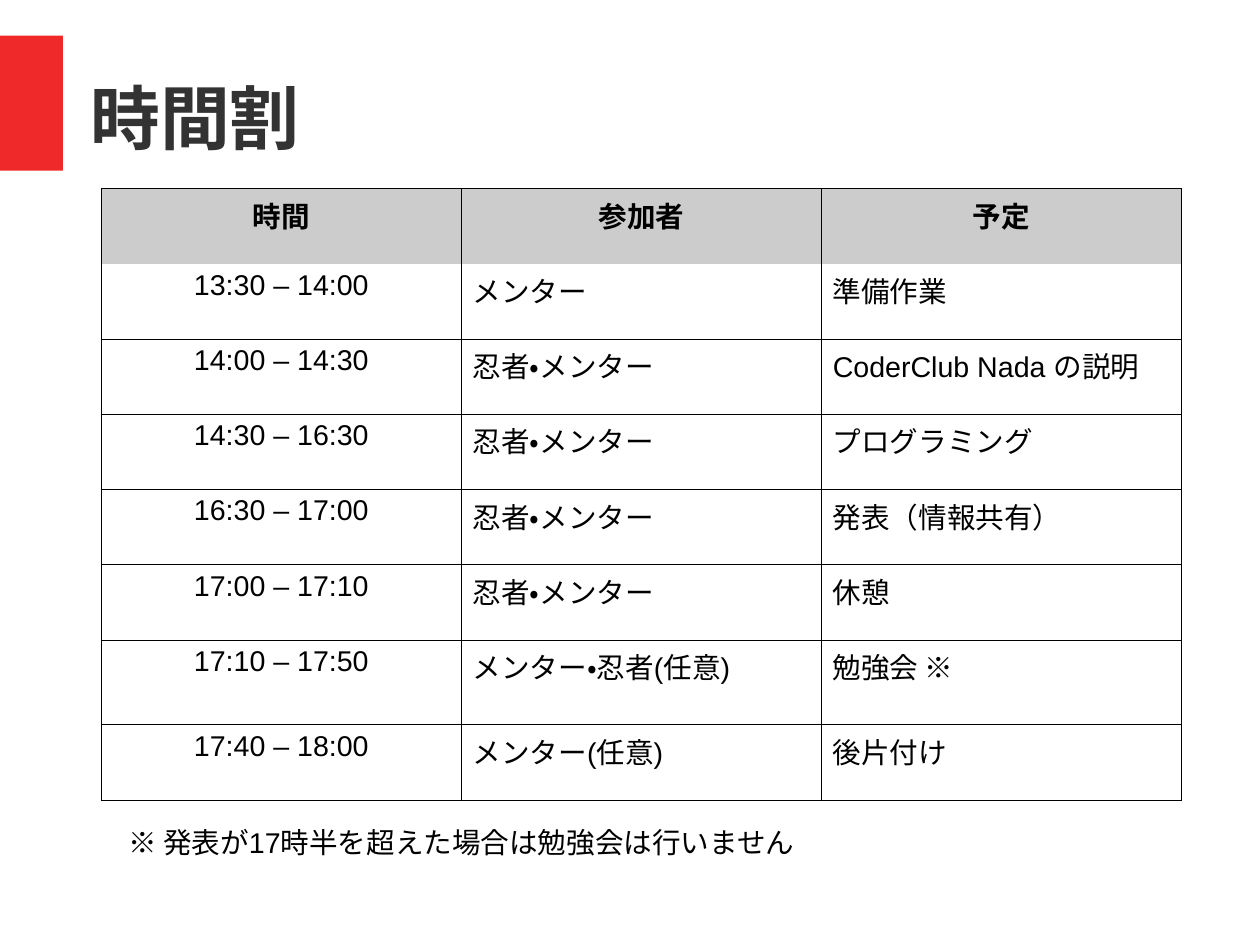
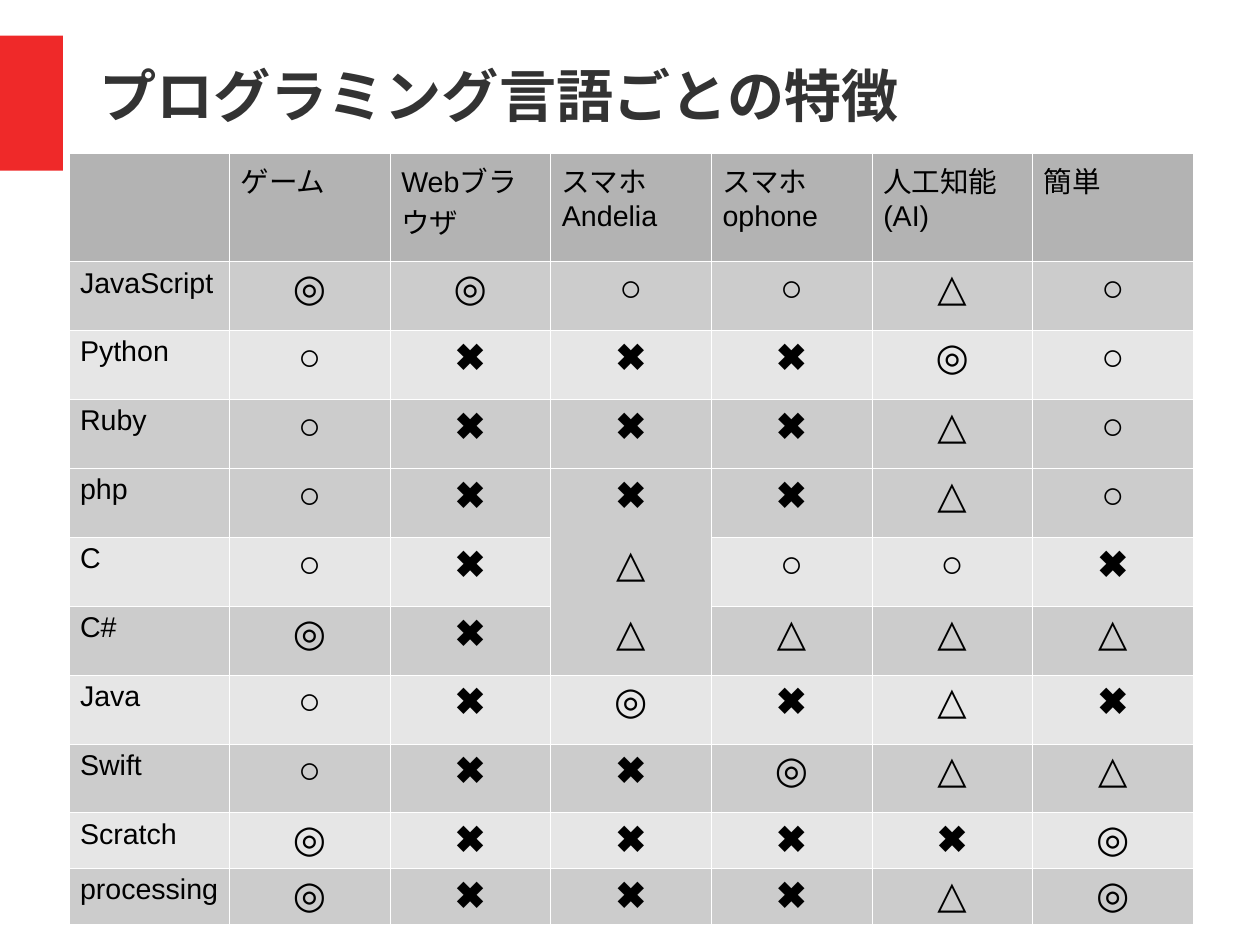
from lxml import etree
from pptx import Presentation
from pptx.dml.color import RGBColor
from pptx.enum import lang, shapes, text
from pptx.oxml import ns
from pptx.util import Pt

C = {"band": "EF2929", "title": "333333", "ink": "000000", "white": "FFFFFF",
     "head": "B3B3B3", "dark": "CCCCCC", "light": "E6E6E6"}
CENTER = text.PP_ALIGN.CENTER

prs = Presentation()
prs.slide_width, prs.slide_height = Pt(793.7), Pt(595.3)


def add_titled_slide(title, size, left, top, height):
    s = prs.slides.add_slide(prs.slide_layouts[5])
    band = s.shapes.add_shape(shapes.MSO_SHAPE.RECTANGLE, 0, Pt(22.5), Pt(39.7), Pt(85))
    band.shadow.inherit = False
    band.fill.solid()
    band.fill.fore_color.rgb = RGBColor.from_string(C["band"])
    band.line.fill.background()
    sp = s.shapes.title
    sp.left, sp.top, sp.width, sp.height = Pt(left), Pt(top), Pt(697), Pt(height)
    tf = sp.text_frame
    tf.text = title
    tf.auto_size = text.MSO_AUTO_SIZE.NONE
    tf.vertical_anchor = text.MSO_ANCHOR.MIDDLE
    tf.margin_left = tf.margin_right = tf.margin_top = tf.margin_bottom = 0
    p = tf.paragraphs[0]
    p.alignment = text.PP_ALIGN.LEFT
    f = p.runs[0].font
    f.name, f.size, f.bold = "Open Sans", Pt(size), True
    f.language_id = lang.MSO_LANGUAGE_ID.JAPANESE
    f.color.rgb = RGBColor.from_string(C["title"])
    return s


def add_grid(s, rows, left, top, col_width, heights, fills, line, open_below):
    n = len(rows[0])
    tbl = s.shapes.add_table(len(rows), n, Pt(left), Pt(top),
                             Pt(col_width * n), Pt(sum(heights))).table
    tbl.first_row = tbl.horz_banding = False
    for col in tbl.columns:
        col.width = Pt(col_width)
    for i, row in enumerate(rows):
        tbl.rows[i].height = Pt(heights[i])
        for j, value in enumerate(row):
            cell = tbl.cell(i, j)
            cell.text = value
            for p in cell.text_frame.paragraphs:
                for r in p.runs:
                    r.font.name, r.font.size, r.font.bold = "Arial", Pt(18), False
                    r.font.language_id = lang.MSO_LANGUAGE_ID.JAPANESE
                    r.font.color.rgb = RGBColor.from_string(C["ink"])
            tcPr = cell._tc.get_or_add_tcPr()
            for side in "LRTB":
                ln = etree.SubElement(tcPr, ns.qn("a:ln" + side), w=str(Pt(0.06)))
                edge = (i - 1, j) if side == "T" else (i, j)
                if side in "TB" and edge in open_below:
                    etree.SubElement(ln, ns.qn("a:noFill"))
                else:
                    fill = etree.SubElement(ln, ns.qn("a:solidFill"))
                    etree.SubElement(fill, ns.qn("a:srgbClr"), val=C[line])
            cell.fill.solid()
            cell.fill.fore_color.rgb = RGBColor.from_string(C[fills[i]])
    return tbl


s = add_titled_slide("時間割", 44, 56.9, 23.8, 99.4)
schedule = [
    ("時間", "参加者", "予定"),
    ("13:30 – 14:00", "メンター", "準備作業"),
    ("14:00 – 14:30", "忍者・メンター", "CoderClub Nada の説明"),
    ("14:30 – 16:30", "忍者・メンター", "プログラミング"),
    ("16:30 – 17:00", "忍者・メンター", "発表（情報共有）"),
    ("17:00 – 17:10", "忍者・メンター", "休憩"),
    ("17:10 – 17:50", "メンター・忍者(任意)", "勉強会 ※"),
    ("17:40 – 18:00", "メンター(任意)", "後片付け"),
]
tbl = add_grid(s, schedule, 63.8, 118.6, 226.8, [47.4] * 6 + [53.4, 47.4],
               ["dark"] + ["white"] * 7, "ink", {(0, j) for j in range(3)})
for i in range(len(schedule)):
    tbl.cell(i, 0).text_frame.paragraphs[0].alignment = CENTER
for j in range(3):
    p = tbl.cell(0, j).text_frame.paragraphs[0]
    p.alignment = CENTER
    p.runs[0].font.bold = True

note = s.shapes.add_textbox(Pt(73.7), Pt(516.2), Pt(567), Pt(33))
tf = note.text_frame
tf.word_wrap = True
tf.text = "※ 発表が17時半を超えた場合は勉強会は行いません"
f = tf.paragraphs[0].runs[0].font
f.name, f.size = "Arial", Pt(18)
f.language_id = lang.MSO_LANGUAGE_ID.JAPANESE
f.color.rgb = RGBColor.from_string(C["ink"])

s = add_titled_slide("プログラミング言語ごとの特徴", 36, 62.4, 22.5, 73.7)
ratings = [
    ("JavaScript", "◎ ◎ ○ ○ △ ○"),
    ("Python", "○ ✖️ ✖️ ✖️ ◎ ○"),
    ("Ruby", "○ ✖️ ✖️ ✖️ △ ○"),
    ("php", "○ ✖️ ✖️ ✖️ △ ○"),
    ("C", "○ ✖️ △ ○ ○ ✖️"),
    ("C#", "◎ ✖️ △ △ △ △"),
    ("Java", "○ ✖️ ◎ ✖️ △ ✖️"),
    ("Swift", "○ ✖️ ✖️ ◎ △ △"),
    ("Scratch", "◎ ✖️ ✖️ ✖️ ✖️ ◎"),
    ("processing", "◎ ✖️ ✖️ ✖️ △ ◎"),
]
rows = [["", "ゲーム", "Webブラウザ", "スマホ\nAndelia", "スマホ\nophone", "人工知能(AI)", "簡単"]]
rows += [[name] + marks.split() for name, marks in ratings]
fills = ["head", "dark", "light", "dark"] + ["dark", "light"] * 3 + ["dark"]
tbl = add_grid(s, rows, 43.2, 96.7, 101.2, [68] + [43.4] * 8 + [35, 35],
               fills, "white", {(4, 3), (5, 3)})
tbl.cell(5, 3).fill.fore_color.rgb = RGBColor.from_string(C["dark"])
for i in range(1, len(rows)):
    tbl.cell(i, 0).margin_right = Pt(2)
    for j in range(1, len(rows[0])):
        p = tbl.cell(i, j).text_frame.paragraphs[0]
        p.alignment = CENTER
        p.runs[0].font.size = Pt(24)

prs.save("out.pptx")
